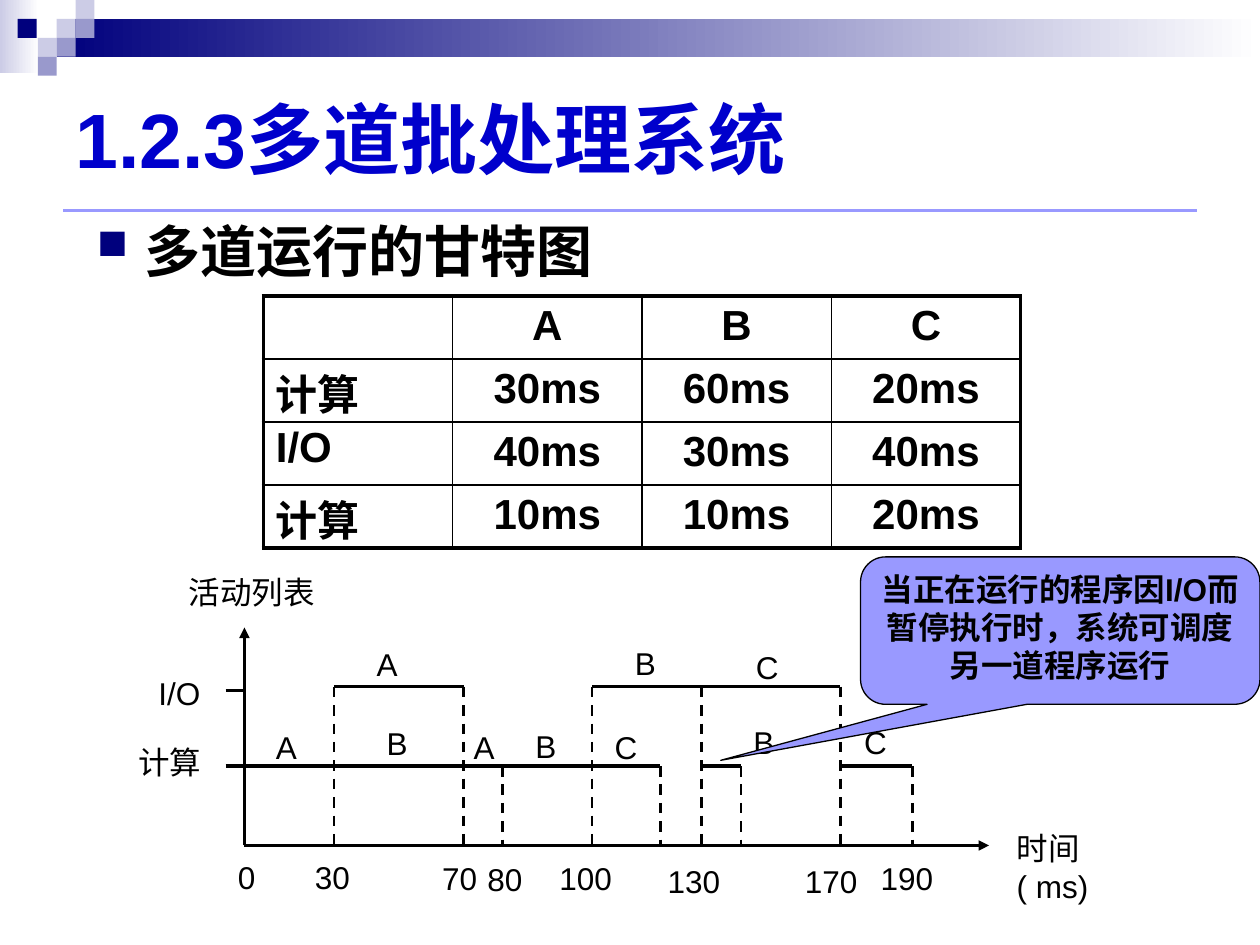
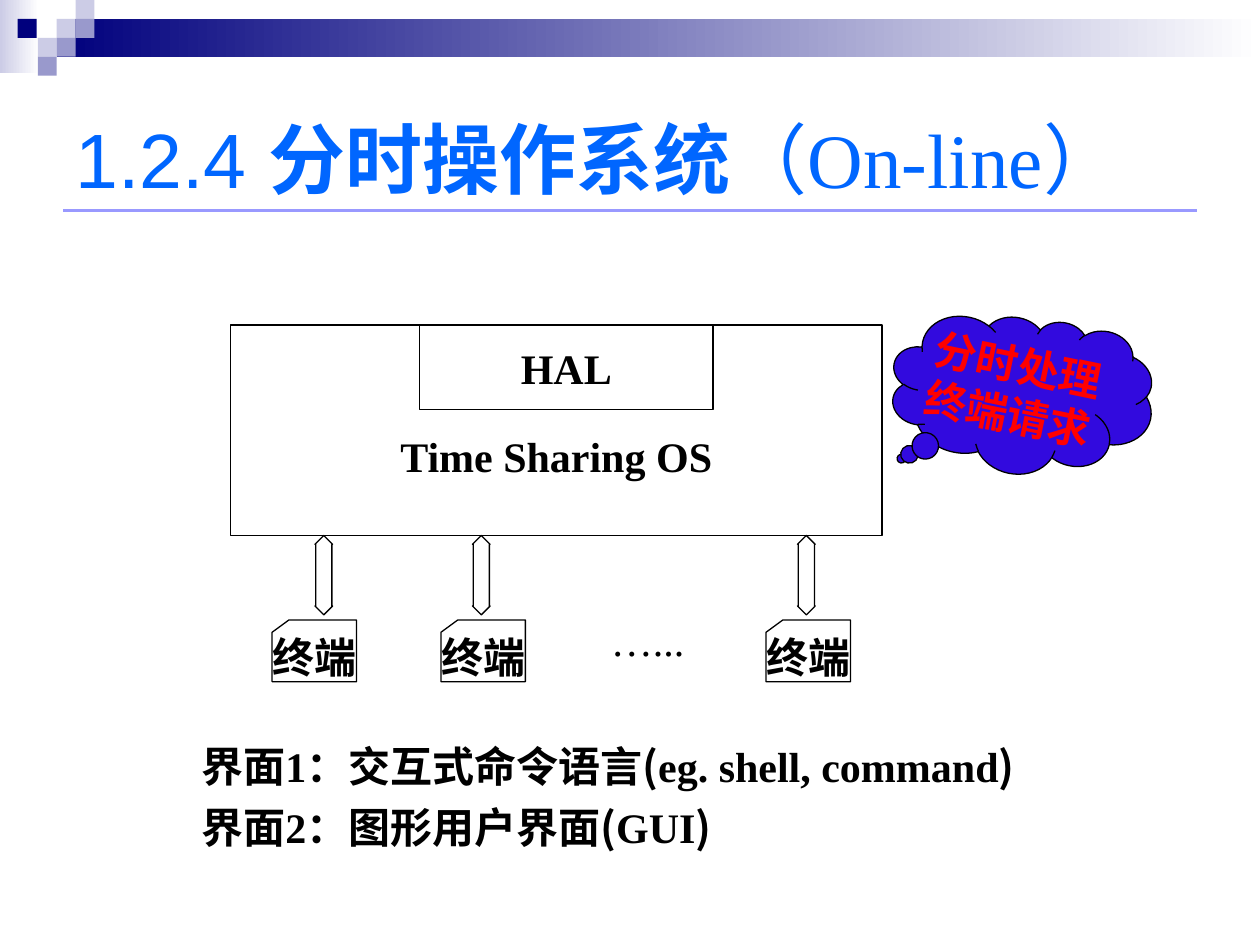
import pptx
import pptx.util
import pptx.dml.color
import pptx.enum.dml
import pptx.enum.shapes
import pptx.enum.text
import pptx.oxml
import pptx.oxml.ns
from lxml import etree

Inches, Pt = pptx.util.Inches, pptx.util.Pt
RGBColor = pptx.dml.color.RGBColor
SHAPE = pptx.enum.shapes.MSO_SHAPE
ALIGN = pptx.enum.text.PP_ALIGN
ANCHOR = pptx.enum.text.MSO_ANCHOR
qn = pptx.oxml.ns.qn

BLACK = RGBColor(0, 0, 0)
WHITE = RGBColor(255, 255, 255)
NAVY = RGBColor(0x00, 0x00, 0x7D)
PALE = RGBColor(0xCC, 0xCC, 0xE6)
MUTED = RGBColor(0x99, 0x99, 0xCC)
LILAC = RGBColor(0x99, 0x99, 0xFF)
TITLE_BLUE = RGBColor(0x00, 0x00, 0xCC)
BRIGHT_BLUE = RGBColor(0x00, 0x66, 0xFF)
CLOUD_BLUE = RGBColor(0x32, 0x0A, 0xDE)
RED = RGBColor(0xFF, 0, 0)
SANS, SERIF, CJK = "Arial", "Times New Roman", "Noto Sans CJK SC"


def write(tf, lines, size=18, font=SANS, color=BLACK, bold=False, align=ALIGN.LEFT,
          anchor=ANCHOR.TOP, wrap=True, gap=0):
    tf.word_wrap = wrap
    tf.vertical_anchor = anchor
    for i, line in enumerate([lines] if isinstance(lines, str) else lines):
        p = tf.paragraphs[0] if i == 0 else tf.add_paragraph()
        p.alignment = align
        if i:
            p.space_before = Pt(gap)
        for run in [(line, {})] if isinstance(line, str) else line:
            text, own = run
            r = p.add_run()
            r.text = text
            r.font.size = Pt(size)
            r.font.bold = own.get("bold", bold)
            r.font.color.rgb = color
            r.font.name = own.get("font", font)
            etree.SubElement(r.font._element, qn("a:ea"), typeface=CJK)


def add_text(s, x, y, w, h, lines, **fmt):
    tb = s.shapes.add_textbox(Inches(x), Inches(y), Inches(w), Inches(h))
    write(tb.text_frame, lines, **fmt)
    return tb


def add_shape(s, kind, x, y, w, h, fill, line=BLACK, adj=()):
    sp = s.shapes.add_shape(kind, Inches(x), Inches(y), Inches(w), Inches(h))
    sp.shadow.inherit = False
    if isinstance(fill, tuple) and not isinstance(fill, RGBColor):
        sp.fill.gradient()
        sp.fill.gradient_angle = 0
        for stop, color in zip(sp.fill.gradient_stops, fill):
            stop.color.rgb = color
    else:
        sp.fill.solid()
        sp.fill.fore_color.rgb = fill
    if line is None:
        sp.line.fill.background()
    else:
        sp.line.color.rgb = line
        sp.line.width = Pt(0.75)
    for i, value in enumerate(adj):
        sp.adjustments[i] = value
    return sp


def add_line(s, x1, y1, x2, y2, color=BLACK, width=2, dash=False, arrow=False):
    c = s.shapes.add_connector(pptx.enum.shapes.MSO_CONNECTOR.STRAIGHT,
                               Inches(x1), Inches(y1), Inches(x2), Inches(y2))
    c.line.color.rgb = color
    c.line.width = Pt(width)
    if dash:
        c.line.dash_style = pptx.enum.dml.MSO_LINE.DASH
    if arrow:
        etree.SubElement(c.line._get_or_add_ln(), qn("a:tailEnd"), type="triangle")
    etree.SubElement(c._element.spPr, qn("a:effectLst"))


def frame(s):
    add_shape(s, SHAPE.RECTANGLE, 0, 0, 0.31, 0.58, (PALE, WHITE), None)
    add_shape(s, SHAPE.RECTANGLE, 0.45, 0.15, 9.55, 0.3, (NAVY, WHITE), None)
    tiles = [(0.45, 0.15, PALE), (0.6, 0, PALE), (0.6, 0.15, MUTED), (0.3, 0.3, PALE),
             (0.14, 0.15, NAVY), (0.45, 0.3, MUTED), (0.3, 0.45, MUTED)]
    for x, y, color in tiles:
        add_shape(s, SHAPE.RECTANGLE, x, y, 0.15, 0.15, color, None)
    add_line(s, 0.5, 1.67, 9.5, 1.67, LILAC, 1.5)


def title(s, y, h, lines, **fmt):
    add_text(s, 0.5, y, 9, h, lines, size=44, anchor=ANCHOR.MIDDLE, **fmt)


def bullet(s, x, y, w, h, text):
    tb = add_text(s, x, y, w, h, text, size=32, bold=True)
    p = tb.text_frame.paragraphs[0]
    p.line_spacing = 1.2
    pPr = p._p.get_or_add_pPr()
    pPr.set("marL", str(Inches(0.38)))
    pPr.set("indent", str(-Inches(0.38)))
    color = etree.SubElement(pPr, qn("a:buClr"))
    etree.SubElement(color, qn("a:srgbClr"), val=str(NAVY))
    etree.SubElement(pPr, qn("a:buSzPct"), val="75000")
    etree.SubElement(pPr, qn("a:buChar"), char="■")


def set_border(cell, side, width):
    ln = etree.SubElement(cell._tc.get_or_add_tcPr(), qn("a:" + side), w=str(Pt(width)))
    fill = etree.SubElement(ln, qn("a:solidFill"))
    etree.SubElement(fill, qn("a:srgbClr"), val=str(BLACK))


def times_table(s, x, y, w, h):
    rows = [("", "A", "B", "C"), ("计算", "30ms", "60ms", "20ms"),
            ("I/O", "40ms", "30ms", "40ms"), ("计算", "10ms", "10ms", "20ms")]
    n = len(rows)
    table = s.shapes.add_table(n, n, Inches(x), Inches(y), Inches(w), Inches(h)).table
    table.first_row = table.horz_banding = False
    for i, row in enumerate(rows):
        for j, text in enumerate(row):
            cell = table.cell(i, j)
            edges = {"lnL": j == 0, "lnR": j == n - 1, "lnT": i == 0, "lnB": i == n - 1}
            for side, outer in edges.items():
                set_border(cell, side, 2.25 if outer else 1)
            cell.fill.background()
            cell.margin_top = Inches(0.05 if j else 0.02)
            cell.margin_bottom = 0
            write(cell.text_frame, text, size=24, bold=True,
                  align=ALIGN.CENTER if j else ALIGN.LEFT)


def gantt(s, x, y):
    at = {0: 0, 30: 0.71, 70: 1.74, 80: 2.05, 100: 2.76, 120: 3.3,
          130: 3.63, 140: 3.94, 170: 4.73, 190: 5.3}
    io, cpu = y - 1.26, y - 0.63
    add_line(s, x, y, x + 5.91, y, arrow=True)
    add_line(s, x, y, x, y - 1.73, arrow=True)
    for tick in (io + 0.03, cpu):
        add_line(s, x - 0.15, tick, x, tick)
    for lane, start, end in [(io, 30, 70), (io, 100, 170), (cpu, 0, 120),
                             (cpu, 130, 140), (cpu, 170, 190)]:
        add_line(s, x + at[start], lane, x + at[end], lane)
    for lane, moments in [(io, (30, 70, 100, 130, 170)), (cpu, (80, 120, 140, 190))]:
        for t in moments:
            add_line(s, x + at[t], lane, x + at[t], y, width=1.5, dash=True)
    labels = [(6.03, -0.18, 1.22, "时间( ms)"), (-0.78, -1.41, 0.63, "I/O"),
              (-0.94, -0.86, 0.79, "计算"), (-0.54, -2.21, 1.22, "活动列表"),
              (-0.15, 0.05, 0.32, "0"), (0.46, 0.05, 0.55, "30"),
              (1.47, 0.06, 0.55, "70"), (1.83, 0.07, 0.55, "80"),
              (2.4, 0.06, 0.71, "100"), (3.26, 0.08, 0.71, "130"),
              (4.35, 0.08, 0.71, "170"), (4.95, 0.06, 0.71, "190")]
    jobs = [(0.15, -0.98, "A"), (0.95, -1.64, "A"), (1.72, -0.98, "A"),
            (1.03, -1.01, "B"), (3, -1.65, "B"), (3.94, -1.02, "B"), (2.21, -0.99, "B"),
            (2.84, -0.98, "C"), (3.96, -1.62, "C"), (4.82, -1.02, "C")]
    for dx, dy, w, text in labels + [(dx, dy, 0.32, job) for dx, dy, job in jobs]:
        add_text(s, x + dx, y + dy, w, 0.4, text)


def batch_slide(s):
    frame(s)
    bullet(s, 0.67, 1.56, 8.98, 0.8, "多道运行的甘特图")
    times_table(s, 2.09, 2.35, 6.01, 2)
    gantt(s, 1.94, 6.71)
    title(s, 0.58, 1.02, "1.2.3多道批处理系统", color=TITLE_BLUE, bold=True)
    note = add_shape(s, SHAPE.ROUNDED_RECTANGULAR_CALLOUT, 6.83, 4.42, 3.17, 1.17,
                     LILAC, adj=(-0.85, 0.88, 0.17))
    write(note.text_frame, "当正在运行的程序因I/O而暂停执行时，系统可调度另一道程序运行",
          bold=True, align=ALIGN.CENTER)


def system_diagram(s, x, y):
    label = dict(size=24, font=SERIF, bold=True, align=ALIGN.CENTER,
                 anchor=ANCHOR.MIDDLE, wrap=False)
    system = add_shape(s, SHAPE.RECTANGLE, x, y, 5.17, 1.67, WHITE)
    write(system.text_frame, "Time Sharing OS", **label)
    system.text_frame.margin_top = Inches(0.45)
    hal = add_shape(s, SHAPE.RECTANGLE, x + 1.5, y, 2.33, 0.67, WHITE)
    write(hal.text_frame, "HAL", **label)
    for card_x, arrow_x in [(0.33, 0.67), (1.67, 1.92), (4.25, 4.5)]:
        card = add_shape(s, SHAPE.FLOWCHART_CARD, x + card_x, y + 2.34, 0.67, 0.49, WHITE)
        write(card.text_frame, "终端", **label)
        add_shape(s, SHAPE.UP_DOWN_ARROW, x + arrow_x, y + 1.67, 0.14, 0.63, WHITE,
                  adj=(0.5, 0.92))
    more = add_shape(s, SHAPE.RECTANGLE, x + 2.92, y + 2.25, 0.83, 0.51, WHITE, WHITE)
    write(more.text_frame, "…...", size=24, font=SERIF)
    cloud = add_shape(s, SHAPE.CLOUD_CALLOUT, x + 5.24, y - 0.08, 2.08, 1.26,
                      CLOUD_BLUE, adj=(-0.4, 0.55))
    cloud.rotation = 11.7
    write(cloud.text_frame, ["分时处理", "终端请求"], color=RED, **label)


def sharing_slide(s):
    frame(s)
    system_diagram(s, 1.83, 2.58)
    cjk = {"font": CJK}
    interfaces = [("界面1：交互式命令语言", "eg. shell, command"), ("界面2：图形用户界面", "GUI")]
    add_text(s, 1.5, 5.83, 7, 1.1,
             [[(name, {}), ("(", cjk), (example, {}), (")", cjk)]
              for name, example in interfaces],
             size=24, font=SERIF, bold=True, gap=6)
    title(s, 0.5, 1.5, [[("1.2.4 ", {}), ("分时操作系统", {"bold": True}), ("（", {}),
                         ("On-line", {"font": SERIF}), ("）", {})]], color=BRIGHT_BLUE)


def main():
    prs = pptx.Presentation()
    prs.slide_width, prs.slide_height = Inches(10), Inches(7.5)
    for build in (batch_slide, sharing_slide):
        build(prs.slides.add_slide(prs.slide_layouts[6]))
    prs.save("out.pptx")


if __name__ == "__main__":
    main()
